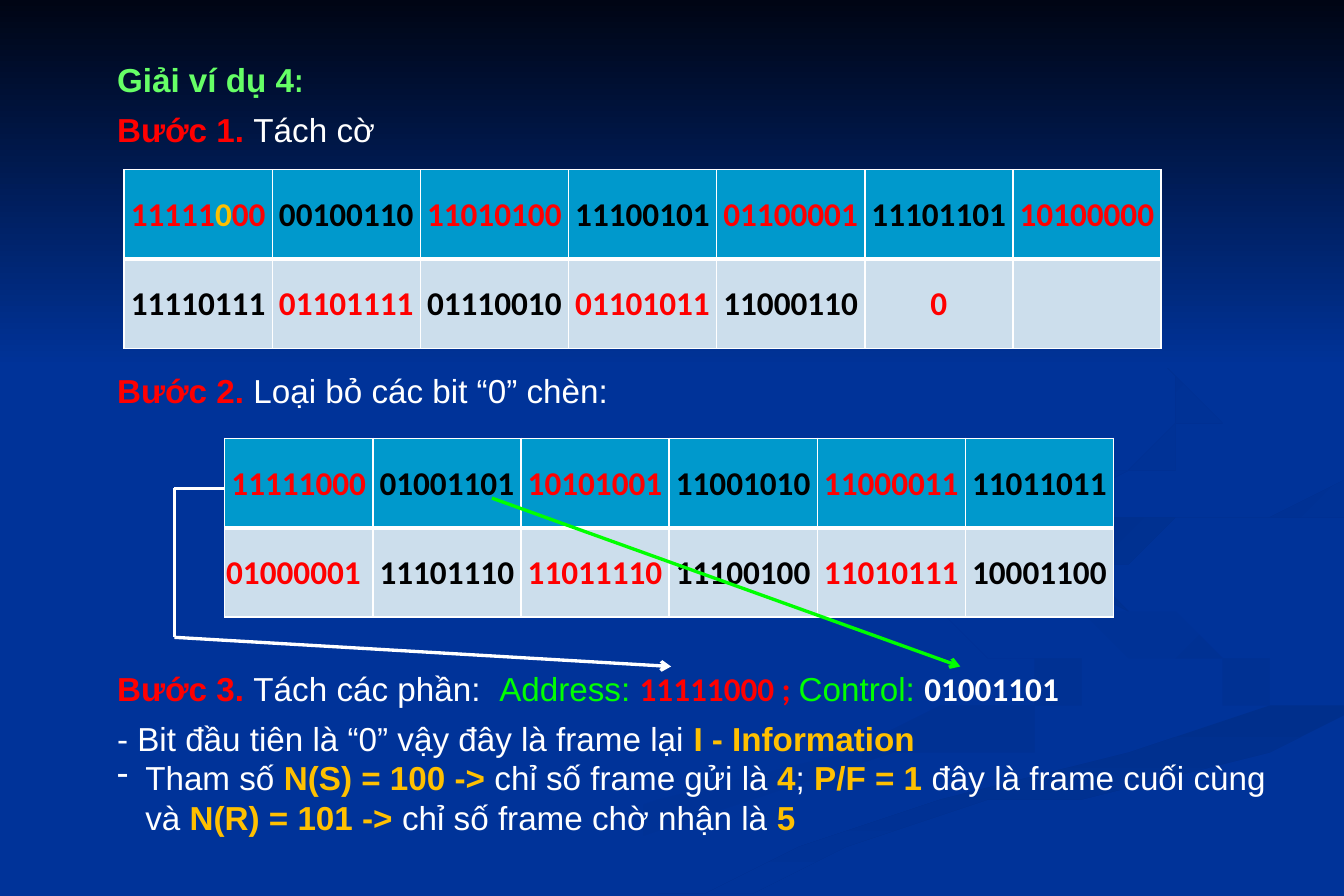
from dataclasses import dataclass

from lxml import etree
from pptx import Presentation
from pptx.dml.color import RGBColor
from pptx.enum.shapes import MSO_CONNECTOR, MSO_SHAPE
from pptx.enum.text import MSO_ANCHOR, PP_ALIGN
from pptx.oxml.ns import qn
from pptx.util import Cm, Pt

STRAIGHT, RECTANGLE = MSO_CONNECTOR.STRAIGHT, MSO_SHAPE.RECTANGLE
MIDDLE, CENTER, LEFT = MSO_ANCHOR.MIDDLE, PP_ALIGN.CENTER, PP_ALIGN.LEFT

BLUE = RGBColor(0x00, 0x33, 0x99)
NIGHT = RGBColor(0x00, 0x05, 0x14)
SHADE = RGBColor(0x00, 0x2F, 0x8C)
FAINT_SHADE = RGBColor(0x00, 0x31, 0x93)
WHITE = RGBColor(0xFF, 0xFF, 0xFF)
BLACK = RGBColor(0x00, 0x00, 0x00)
RED = RGBColor(0xFF, 0x00, 0x00)
GREEN = RGBColor(0x00, 0xFF, 0x00)
LIGHT_GREEN = RGBColor(0x66, 0xFF, 0x66)
GOLD = RGBColor(0xFF, 0xC0, 0x00)
HEADER_FILL = RGBColor(0x00, 0x99, 0xCC)
BODY_FILL = RGBColor(0xCC, 0xDE, 0xEC)

SLIDE_W, SLIDE_H = 28.58, 19.05
COLUMN_W, ROW_H = 3.15, 1.9
HANGING = Cm(0.6)


@dataclass
class Words:
    text: str
    color: RGBColor = WHITE
    bold: bool = False
    font: str = "Arial"


@dataclass
class Line:
    words: list[Words]
    space_before: float = 0
    dashed: bool = False


@dataclass
class Step:
    top: float
    height: float
    lines: list[Line]


@dataclass
class BitTable:
    left: float
    top: float
    rows: list[list[str]]


@dataclass
class Pointer:
    start: tuple[float, float]
    end: tuple[float, float]
    color: RGBColor = WHITE
    arrow: bool = False


@dataclass
class Ribbon:
    colors: tuple[RGBColor, RGBColor]
    angle: int
    outline: list[tuple[float, float]]


RIBBONS = [
    Ribbon((BLUE, FAINT_SHADE), 0, [
        (22.33, 14.05), (21.29, 13.66), (19.51, 13.18), (17.55, 12.6), (16.66, 12.12), (16.43, 11.66),
        (16.31, 11.99), (16.76, 12.37), (18.03, 12.83), (19.91, 13.34), (21.49, 13.79), (22.3, 14.12),
        (22.48, 14.38), (22.28, 14.71), (21.41, 15.09), (19.99, 15.47), (17.63, 15.98), (14.25, 16.79),
        (10.74, 17.96), (8.59, 19.02), (10.31, 19.02), (13.31, 17.78), (16.1, 16.89), (19.33, 16.1),
        (21.62, 15.6), (22.48, 15.27), (22.89, 14.83), (22.73, 14.4)]),
    Ribbon((BLUE, FAINT_SHADE), 45, [
        (26.95, 14.48), (26.26, 13.89), (24.87, 13.46), (22.63, 12.93), (21.29, 12.43), (20.7, 11.79),
        (20.85, 12.29), (21.59, 12.83), (22.76, 13.31), (24.41, 13.69), (25.48, 14.05), (26.16, 14.5),
        (26.21, 14.86), (25.55, 15.37), (26.42, 15.06), (26.87, 14.76)]),
    Ribbon((SHADE, BLUE), 90, [
        (14.83, 18.97), (14.38, 19.02), (16.33, 19.02), (17.98, 18.24), (20.62, 17.32), (23.47, 16.53),
        (27.13, 15.75), (28.52, 15.47), (28.52, 14.76), (26.75, 15.29), (23.75, 15.98), (19.89, 16.99),
        (17.09, 17.93)]),
    Ribbon((SHADE, BLUE), 45, [
        (22.33, 11.68), (22.45, 12.04), (23.6, 12.6), (23.11, 12.29), (23.04, 11.89), (23.65, 11.51),
        (25.07, 11.15), (27.74, 10.74), (28.52, 10.67), (28.52, 10.21), (26.67, 10.54), (24.71, 10.77),
        (23.14, 11.1), (22.43, 11.46)]),
    Ribbon((SHADE, BLUE), 45, [
        (19.53, 10.92), (21.84, 10.59), (23.57, 10.21), (24.77, 9.75), (25.43, 9.19), (25.53, 8.51),
        (25.15, 7.8), (24.41, 7.19), (23.47, 6.63), (21.79, 5.92), (22.99, 6.45), (24.18, 7.09),
        (25.04, 7.77), (25.43, 8.51), (25.22, 8.99), (24.36, 9.5), (22.61, 9.96), (19.3, 10.52),
        (17.58, 10.9), (16.69, 11.33), (16.48, 11.73), (16.69, 12.17), (17.78, 12.7), (17.07, 12.19),
        (17.04, 11.71), (17.83, 11.28)]),
]

STEPS = [
    Step(1.14, 2.2, [
        Line([Words("Giải ví dụ 4", LIGHT_GREEN, True), Words(":", LIGHT_GREEN, True, "Arial Narrow")]),
        Line([Words("Bước 1. ", RED, True), Words("Tách cờ")], 6)]),
    Step(7.75, 1.1, [Line([Words("Bước 2. ", RED, True), Words("Loại bỏ các bit “0” chèn:")])]),
    Step(14.08, 4, [
        Line([Words("Bước 3. ", RED, True), Words("Tách các phần:  "), Words("Address: ", GREEN),
              Words("11111000 ; ", RED, True, "Calibri"), Words("Control: ", GREEN),
              Words("01001101", WHITE, True, "Calibri")]),
        Line([Words("- Bit đầu tiên là “0” vậy đây là frame lại "), Words("I - Information", GOLD, True)], 6),
        Line([Words("Tham số "), Words("N(S) = 100 -> ", GOLD, True), Words("chỉ số frame gửi là "),
              Words("4", GOLD, True), Words("; "), Words("P/F = 1", GOLD, True),
              Words(" đây là frame cuối cùng và "), Words("N(R) = 101 -> ", GOLD, True),
              Words("chỉ số frame chờ nhận là "), Words("5", GOLD, True)], dashed=True)]),
]

FLAGGED = BitTable(2.64, 3.61, [
    ["11111000", "00100110", "11010100", "11100101", "01100001", "11101101", "10100000"],
    ["11110111", "01101111", "01110010", "01101011", "11000110", "0", ""]])
UNSTUFFED = BitTable(4.78, 9.32, [
    ["11111000", "01001101", "10101001", "11001010", "11000011", "11011011"],
    ["01000001", "11101110", "11011110", "11100100", "11010111", "10001100"]])

POINTERS = [
    Pointer((3.71, 10.38), (4.78, 10.38)),
    Pointer((3.71, 10.38), (3.71, 13.55)),
    Pointer((3.71, 13.55), (14.27, 14.17), arrow=True),
    Pointer((10.46, 10.59), (20.42, 14.17), GREEN, True),
]


def apply(target, values: dict) -> None:
    for name, value in values.items():
        setattr(target, name, value)


def add_words(paragraph, words: Words) -> None:
    run = paragraph.add_run()
    run.text = words.text
    apply(run.font, {"name": words.font, "size": Pt(20), "bold": words.bold})
    run.font.color.rgb = words.color


def shade(shape, colors: tuple[RGBColor, RGBColor], angle: int) -> None:
    shape.shadow.inherit = False
    shape.line.fill.background()
    shape.fill.gradient()
    shape.fill.gradient_angle = (360 - angle) % 360
    for stop, color in zip(shape.fill.gradient_stops, colors):
        stop.color.rgb = color


def draw_ribbon(slide, ribbon: Ribbon) -> None:
    builder = slide.shapes.build_freeform(*ribbon.outline[0], scale=Cm(1))
    builder.add_line_segments(ribbon.outline[1:], close=True)
    shade(builder.convert_to_shape(), ribbon.colors, ribbon.angle)


def draw_step(slide, step: Step) -> None:
    frame = slide.shapes.add_textbox(Cm(2.24), Cm(step.top), Cm(25.2), Cm(step.height)).text_frame
    frame.word_wrap = True
    for index, line in enumerate(step.lines):
        paragraph = frame.add_paragraph() if index else frame.paragraphs[0]
        if line.dashed:
            properties = paragraph._p.get_or_add_pPr()
            apply_indent = {"marL": HANGING, "indent": -HANGING}
            for name, value in apply_indent.items():
                properties.set(name, str(value))
            etree.SubElement(properties, qn("a:buChar"), char="-")
        paragraph.space_before = Pt(line.space_before)
        for words in line.words:
            add_words(paragraph, words)


def set_borders(cell, bottom_width: float) -> None:
    properties = cell._tc.get_or_add_tcPr()
    for index, side in enumerate(("lnL", "lnR", "lnT", "lnB")):
        width = bottom_width if side == "lnB" else 1
        border = etree.Element(qn(f"a:{side}"), w=str(Pt(width)))
        fill = etree.SubElement(border, qn("a:solidFill"))
        etree.SubElement(fill, qn("a:srgbClr"), val=str(WHITE))
        properties.insert(index, border)


def draw_bits(slide, bits: BitTable):
    row_count, column_count = len(bits.rows), len(bits.rows[0])
    table = slide.shapes.add_table(row_count, column_count, Cm(bits.left), Cm(bits.top),
                                   Cm(COLUMN_W * column_count), Cm(ROW_H * row_count)).table
    for column in table.columns:
        column.width = Cm(COLUMN_W)
    for r, row in enumerate(bits.rows):
        table.rows[r].height = Cm(ROW_H)
        for c, byte in enumerate(row):
            cell = table.cell(r, c)
            apply(cell, {"vertical_anchor": MIDDLE, "margin_left": Cm(0.03), "margin_right": Cm(0.03),
                         "margin_top": Cm(0.03), "margin_bottom": 0})
            cell.fill.solid()
            cell.fill.fore_color.rgb = BODY_FILL if r else HEADER_FILL
            set_borders(cell, 1 if r else 3)
            paragraph = cell.text_frame.paragraphs[0]
            paragraph.alignment = CENTER
            color = BLACK if (r * column_count + c) % 2 else RED
            if byte:
                add_words(paragraph, Words(byte, color, True, "Calibri"))
    return table


def draw_pointer(slide, pointer: Pointer) -> None:
    ends = [Cm(value) for value in pointer.start + pointer.end]
    connector = slide.shapes.add_connector(STRAIGHT, *ends)
    connector.line.color.rgb = pointer.color
    connector.line.width = Pt(2)
    properties = connector._element.spPr
    if pointer.arrow:
        etree.SubElement(properties.find(qn("a:ln")), qn("a:tailEnd"), type="arrow")
    etree.SubElement(properties, qn("a:effectLst"))


def main() -> None:
    deck = Presentation()
    apply(deck, {"slide_width": Cm(SLIDE_W), "slide_height": Cm(SLIDE_H)})
    slide = deck.slides.add_slide(deck.slide_layouts[6])

    # Background: ribbons under a night sky
    slide.background.fill.solid()
    slide.background.fill.fore_color.rgb = BLUE
    for ribbon in RIBBONS:
        draw_ribbon(slide, ribbon)
    sky = slide.shapes.add_shape(RECTANGLE, 0, 0, Cm(SLIDE_W), Cm(7.82))
    shade(sky, (NIGHT, BLUE), 90)

    # Solution steps
    for step in STEPS:
        draw_step(slide, step)

    # Bit tables, with the stuffed bit in gold
    flagged = draw_bits(slide, FLAGGED)
    first_byte = flagged.cell(0, 0).text_frame.paragraphs[0]
    first_byte.runs[0].text = "11111"
    for text, color in (("0", GOLD), ("00", RED)):
        add_words(first_byte, Words(text, color, True, "Calibri"))
    unstuffed = draw_bits(slide, UNSTUFFED)
    unstuffed.cell(1, 0).text_frame.paragraphs[0].alignment = LEFT

    # Pointers to address and control
    for pointer in POINTERS:
        draw_pointer(slide, pointer)

    deck.save("out.pptx")


if __name__ == "__main__":
    main()
